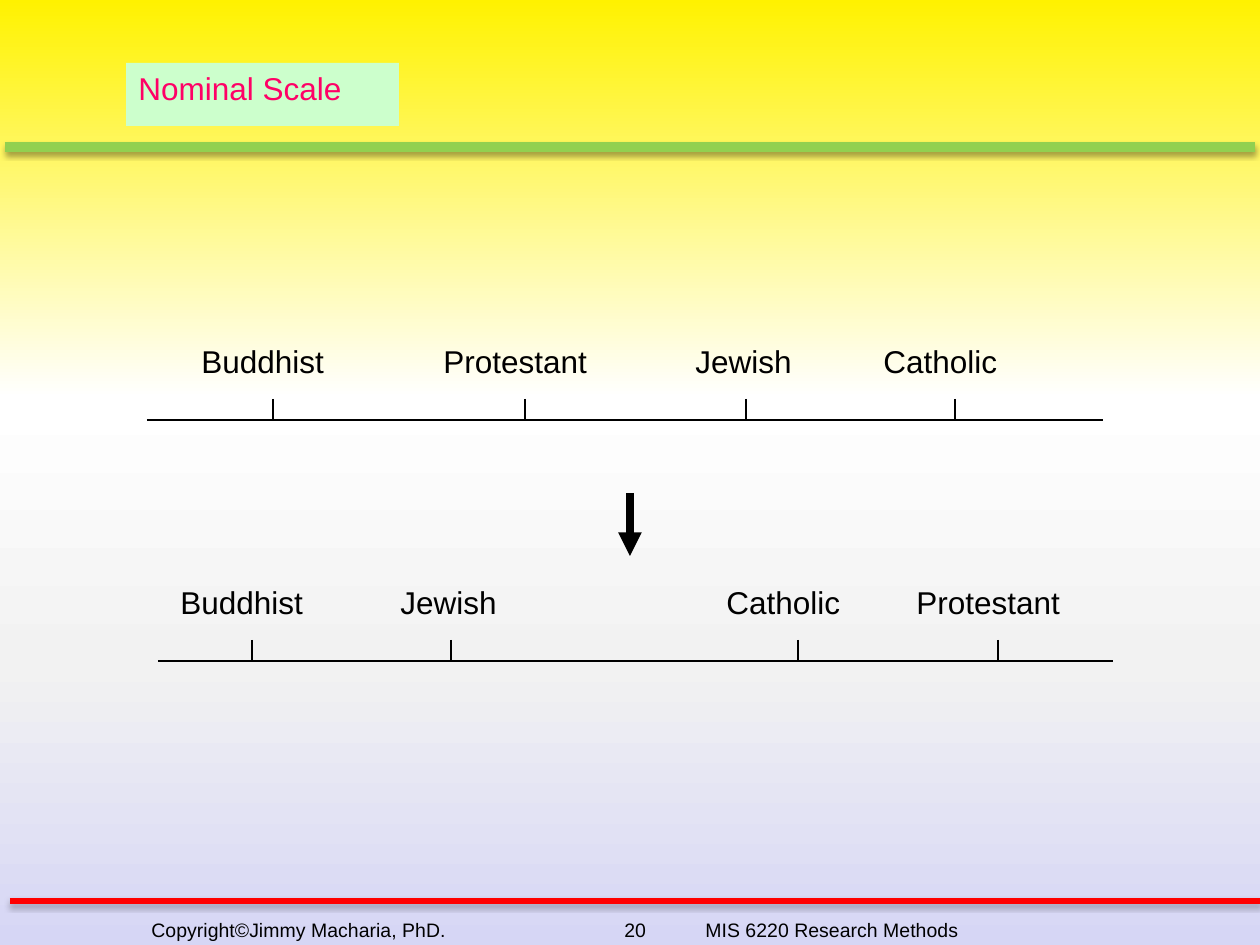
from dataclasses import dataclass

from lxml.etree import SubElement
from pptx import Presentation
from pptx.dml.color import RGBColor
from pptx.enum.shapes import MSO_CONNECTOR, MSO_SHAPE
from pptx.enum.text import MSO_ANCHOR, PP_ALIGN
from pptx.oxml import parse_xml
from pptx.oxml.ns import nsdecls, qn
from pptx.util import Pt

SCALE = 914400 // 126


@dataclass(frozen=True)
class Theme:
    """Colours, font and type sizes of the slide."""
    ink: str = "000000"
    title: str = "FF0066"
    title_fill: str = "CCFFCC"
    header_rule: str = "92D050"
    footer_rule: str = "FF0000"
    backdrop: tuple = ((0, "FFF200"), (42, "FFFFFF"), (70, "F2F2F2"), (100, "D6D6F5"))
    font: str = "Arial"
    body_size: float = 18
    footer_size: float = 11.1


THEME = Theme()

# Label box width and distance from its left edge to the tick, in pixels.
LABEL_FIT = {
    "Buddhist": (176, 84),
    "Protestant": (193, 94),
    "Jewish": (140, 63),
    "Catholic": (168, 84),
}


def px(length):
    """Turn pixels into EMU."""
    return length * SCALE


def paint_backdrop(slide):
    """Fill the background with the vertical gradient of the theme."""
    stops = "".join(
        f'<a:gs pos="{position * 1000}"><a:srgbClr val="{color}"/></a:gs>'
        for position, color in THEME.backdrop)
    slide.background.fill.solid()
    properties = slide.background._cSld.find(qn("p:bg")).find(qn("p:bgPr"))
    gradient = parse_xml(
        f'<a:gradFill {nsdecls("a")} rotWithShape="1"><a:gsLst>{stops}</a:gsLst>'
        '<a:lin ang="5400000" scaled="0"/></a:gradFill>')
    properties.replace(properties.find(qn("a:solidFill")), gradient)


def add_text(slide, text, box, size=THEME.body_size, color=THEME.ink, fill=None, tabs=()):
    """Place left-aligned text in a box, with optional fill and tab stops."""
    area = tuple(map(px, box))
    if fill:
        holder = slide.shapes.add_shape(MSO_SHAPE.RECTANGLE, *area)
        holder.shadow.inherit = False
        holder.fill.solid()
        holder.fill.fore_color.rgb = RGBColor.from_string(fill)
        holder.line.fill.background()
    else:
        holder = slide.shapes.add_textbox(*area)
    frame = holder.text_frame
    frame.word_wrap = True
    frame.vertical_anchor = MSO_ANCHOR.TOP
    paragraph = frame.paragraphs[0]
    paragraph.alignment = PP_ALIGN.LEFT
    if tabs:
        tab_list = SubElement(paragraph._p.get_or_add_pPr(), qn("a:tabLst"))
        for stop in tabs:
            SubElement(tab_list, qn("a:tab"), pos=str(px(stop)), algn="l")
    run = paragraph.add_run()
    run.text = text
    run.font.name = THEME.font
    run.font.size = Pt(size)
    run.font.color.rgb = RGBColor.from_string(color)


def add_line(slide, start, end, color=THEME.ink, width=0.75, shadow=False, arrow=False):
    """Draw a straight line, with optional soft shadow or arrowhead."""
    line = slide.shapes.add_connector(
        MSO_CONNECTOR.STRAIGHT, *map(px, start), *map(px, end))
    line.line.color.rgb = RGBColor.from_string(color)
    line.line.width = Pt(width)
    if arrow:
        SubElement(line.line._get_or_add_ln(), qn("a:tailEnd"), type="triangle")
    effects = SubElement(line._element.spPr, qn("a:effectLst"))
    if shadow:
        cast = SubElement(effects, qn("a:outerShdw"), blurRad="40000", dist="23000",
                          dir="5400000", rotWithShape="0")
        shade = SubElement(cast, qn("a:srgbClr"), val=THEME.ink)
        SubElement(shade, qn("a:alpha"), val="35000")


def add_header(slide, box):
    """Draw the title plate and the green rule at the foot of the box."""
    left, top, width, height = box
    rule_y = top + height
    add_line(slide, (left, rule_y), (left + width, rule_y),
             color=THEME.header_rule, width=6, shadow=True)
    add_text(slide, "Nominal Scale", (left + 121, top + 63, 273, 63),
             color=THEME.title, fill=THEME.title_fill)


def add_footer(slide, box):
    """Draw the red rule at the top of the box and the credit line below it."""
    left, top, width, height = box
    add_line(slide, (left, top), (left + width, top),
             color=THEME.footer_rule, width=3, shadow=True)
    add_text(slide, "Copyright©Jimmy Macharia, PhD.\t20\tMIS 6220 Research Methods",
             (left + 129, top + 11, width - 129, height - 11),
             size=THEME.footer_size, tabs=(473, 554))


def add_scale(slide, box, ticks):
    """Draw an axis along the foot of the box with a labelled tick per category."""
    left, top, width, height = box
    axis_y = top + height
    add_line(slide, (left, axis_y), (left + width, axis_y))
    for category, offset in ticks.items():
        label_width, reach = LABEL_FIT[category]
        tick_x = left + offset
        add_text(slide, category, (tick_x - reach, top, label_width, 63))
        add_line(slide, (tick_x, axis_y - 21), (tick_x, axis_y))


def main():
    """Build the slide and save it."""
    deck = Presentation()
    deck.slide_width, deck.slide_height = px(1260), px(945)
    slide = deck.slides.add_slide(deck.slide_layouts[6])
    paint_backdrop(slide)
    add_header(slide, (5, 0, 1250, 147))
    add_footer(slide, (10, 901, 1250, 48))
    add_scale(slide, (147, 336, 956, 84),
              {"Buddhist": 126, "Protestant": 378, "Jewish": 599, "Catholic": 808})
    add_line(slide, (630, 493), (630, 556), width=4.5, arrow=True)
    add_scale(slide, (158, 577, 955, 84),
              {"Buddhist": 94, "Jewish": 293, "Catholic": 640, "Protestant": 840})
    deck.save("out.pptx")


main()
